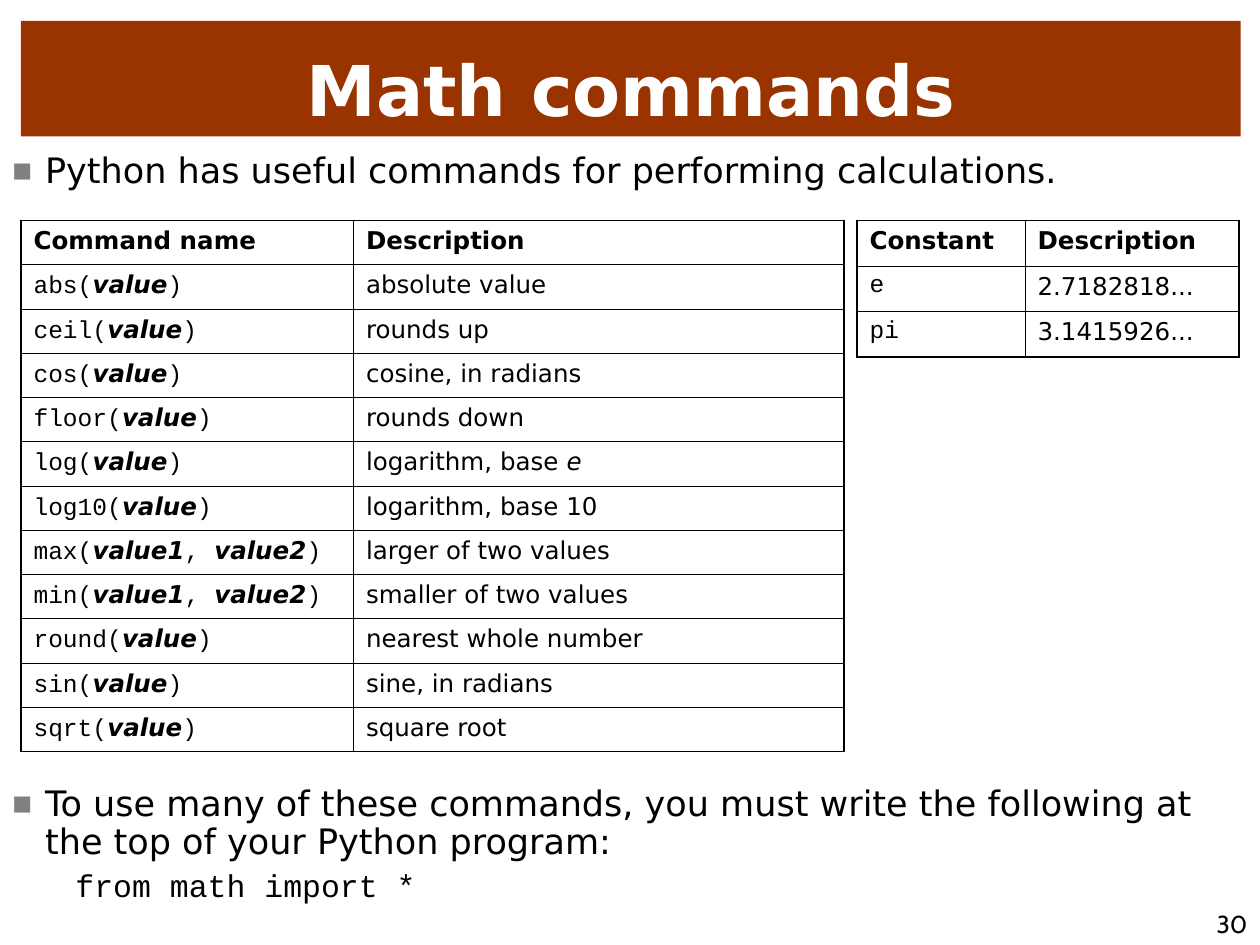
from lxml.etree import SubElement
from pptx import Presentation
from pptx.dml.color import RGBColor
from pptx.enum.shapes import MSO_SHAPE
from pptx.enum.text import MSO_ANCHOR as Anchor, PP_ALIGN as Align
from pptx.oxml.ns import qn
from pptx.util import Pt

BLACK = RGBColor(0x00, 0x00, 0x00)
WHITE = RGBColor(0xFF, 0xFF, 0xFF)
RUST = RGBColor(0x99, 0x33, 0x00)
GRAY = RGBColor(0x80, 0x80, 0x80)
SANS, MONO, NUMBER_FONT = "DejaVu Sans", "Courier New", "Cabin"
THIN, THICK = Pt(0.45), Pt(1.08)


def style_run(run, size, font=SANS, bold=False, italic=False, color=BLACK):
    run.font.size = Pt(size)
    run.font.name = font
    run.font.bold = bold
    run.font.italic = italic
    run.font.color.rgb = color


def add_bullet(slide, top, height, text):
    box = slide.shapes.add_textbox(0, Pt(top), Pt(720), Pt(height))
    box.text_frame.word_wrap = True
    box.text_frame.text = text
    paragraph = box.text_frame.paragraphs[0]
    paragraph.line_spacing = 0.9
    paragraph.space_before = Pt(5)
    style_run(paragraph.runs[0], 20)
    props = paragraph._p.get_or_add_pPr()
    props.set("marL", str(Pt(18.7)))
    props.set("indent", str(-Pt(18.7)))
    bullet_color = SubElement(props, qn("a:buClr"))
    SubElement(bullet_color, qn("a:srgbClr"), val=str(GRAY))
    SubElement(props, qn("a:buSzPct"), val="60000")
    SubElement(props, qn("a:buFont"), typeface=SANS)
    SubElement(props, qn("a:buChar"), char="■")
    return box.text_frame


prs = Presentation()
prs.slide_width, prs.slide_height = Pt(720), Pt(540)
slide = prs.slides.add_slide(prs.slide_layouts[6])

# Slide number
number = slide.shapes.add_textbox(Pt(612), Pt(504), Pt(108), Pt(36)).text_frame
number.word_wrap = True
number.vertical_anchor = Anchor.BOTTOM
number.text = "30"
number.paragraphs[0].alignment = Align.RIGHT
style_run(number.paragraphs[0].runs[0], 14, NUMBER_FONT)

# Title band
title = slide.shapes.add_shape(MSO_SHAPE.RECTANGLE, Pt(12), Pt(12), Pt(697), Pt(66))
title.shadow.inherit = False
title.fill.solid()
title.fill.fore_color.rgb = RUST
title.line.fill.background()
title.text_frame.vertical_anchor = Anchor.BOTTOM
title.text_frame.text = "Math commands"
title.text_frame.paragraphs[0].alignment = Align.CENTER
style_run(title.text_frame.paragraphs[0].runs[0], 40, bold=True, color=WHITE)

# Statements above and below the tables
add_bullet(slide, 84.2, 32, "Python has useful commands for performing calculations.")
usage = add_bullet(
    slide, 446, 76,
    "To use many of these commands, you must write the following at "
    "the top of your Python program:")
import_line = usage.add_paragraph()
import_line.text = "from math import *"
import_line.line_spacing = 0.9
import_line.space_before = Pt(4.5)
import_line._p.get_or_add_pPr().set("marL", str(Pt(36)))
style_run(import_line.runs[0], 18, MONO)

# Table content: each cell is a list of (text, style) pieces
head = {"bold": True}
code = {"font": MONO}
argument = {"bold": True, "italic": True}
commands = [
    ("abs", ["value"], "absolute value"),
    ("ceil", ["value"], "rounds up"),
    ("cos", ["value"], "cosine, in radians"),
    ("floor", ["value"], "rounds down"),
    ("log", ["value"], "logarithm, base "),
    ("log10", ["value"], "logarithm, base 10"),
    ("max", ["value1", "value2"], "larger of two values"),
    ("min", ["value1", "value2"], "smaller of two values"),
    ("round", ["value"], "nearest whole number"),
    ("sin", ["value"], "sine, in radians"),
    ("sqrt", ["value"], "square root"),
]
command_rows = [[[("Command name", head)], [("Description", head)]]]
for name, arguments, description in commands:
    call = [(name + "(", code)]
    for index, word in enumerate(arguments):
        if index:
            call.append((", ", code))
        call.append((word, argument))
    call.append((")", code))
    meaning = [(description, {})]
    if name == "log":
        meaning.append(("e", {"italic": True}))
    command_rows.append([call, meaning])

constant_rows = [[[("Constant", head)], [("Description", head)]]]
for name, value in [("e", "2.7182818..."), ("pi", "3.1415926...")]:
    constant_rows.append([[(name, code)], [(value, {})]])

# Tables: left edge, column widths, row height, content
for left, widths, row_height, rows in [
    (12, (190, 280.5), 25.3, command_rows),
    (489.7, (96, 122.4), 26, constant_rows),
]:
    frame = slide.shapes.add_table(len(rows), len(widths), Pt(left), Pt(126),
                                   Pt(sum(widths)), Pt(row_height * len(rows)))
    table = frame.table
    table.first_row = table.horz_banding = False
    for column, width in zip(table.columns, widths):
        column.width = Pt(width)
    for r, row in enumerate(rows):
        table.rows[r].height = Pt(row_height)
        for c, pieces in enumerate(row):
            cell = table.cell(r, c)
            paragraph = cell.text_frame.paragraphs[0]
            paragraph.space_before = Pt(3.5)
            for text, style in pieces:
                run = paragraph.add_run()
                run.text = text
                style_run(run, 14, **style)
            # Thick outer edges, thin inner ones
            outer = {"a:lnL": c == 0, "a:lnR": c == len(widths) - 1,
                     "a:lnT": r == 0, "a:lnB": r == len(rows) - 1}
            cell_props = cell._tc.get_or_add_tcPr()
            for side, is_outer in outer.items():
                border = SubElement(cell_props, qn(side), w=str(THICK if is_outer else THIN))
                line_fill = SubElement(border, qn("a:solidFill"))
                SubElement(line_fill, qn("a:srgbClr"), val=str(BLACK))
            cell.fill.background()

prs.save("out.pptx")
